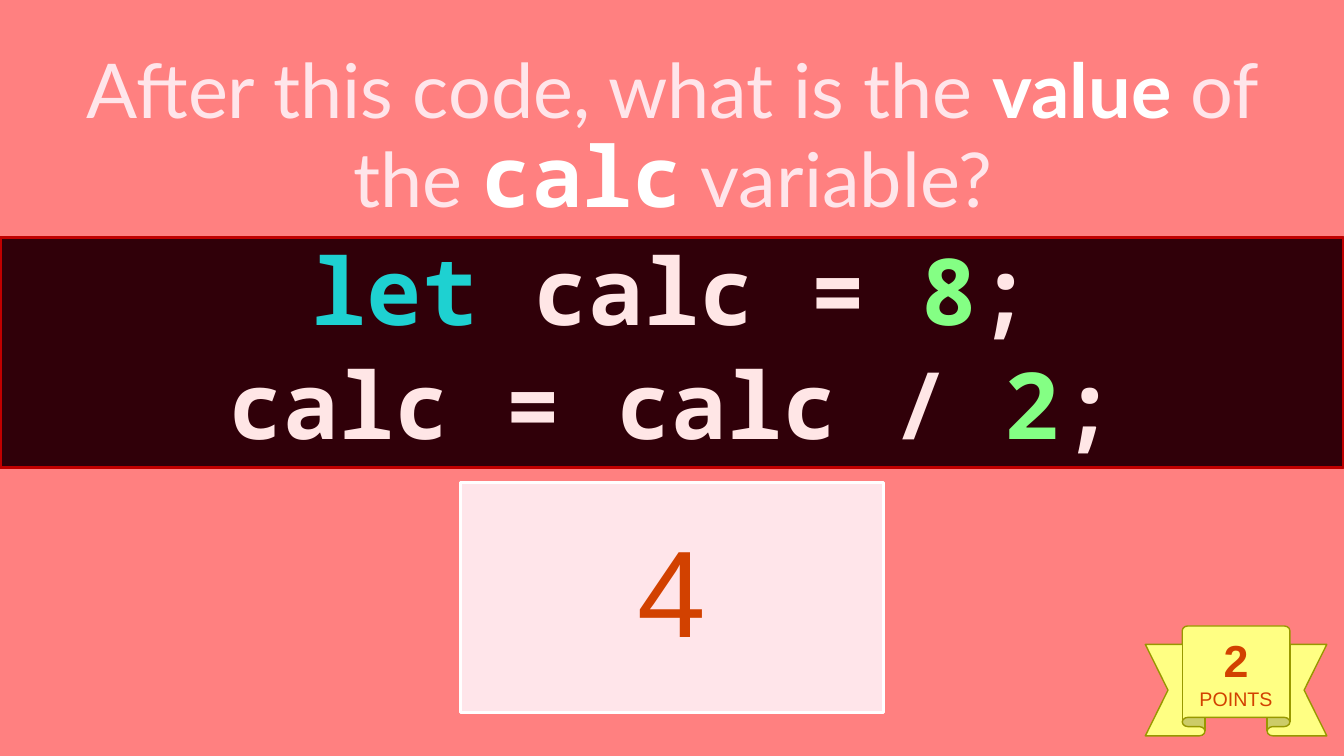
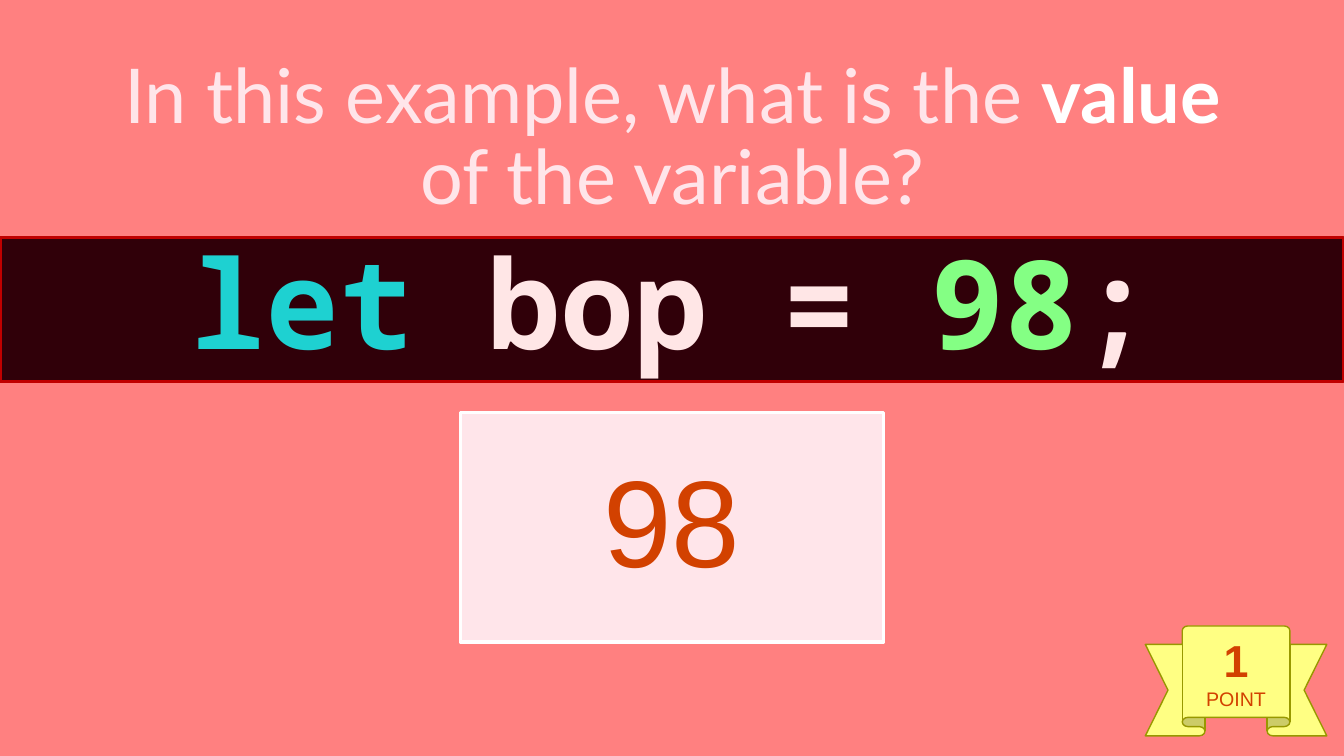
import pptx
import pptx.dml.color
import pptx.enum.shapes
import pptx.enum.text
import pptx.util

Inches = pptx.util.Inches
SHAPES = pptx.enum.shapes.MSO_SHAPE
COLORS = {
    "page": "FF8080", "pale": "FFE5EA", "white": "FFFFFF",
    "band": "300009", "band_line": "C00000",
    "keyword": "1ED1D1", "code": "FFE6E6", "number": "84FF84",
    "ribbon": "FFFF83", "ribbon_line": "989800", "answer": "D24100",
}
WIDTH, HEIGHT = 13.33, 7.5
TITLE_BOX = (0.74, 0.43, 11.86, 1.91)
RIBBON_BOX = (11.36, 6.21, 1.8, 1.09)
BAND_TOP = 2.36
ANSWER_SIZE = (4.2, 2.28)
BODY = {"line_spacing": 0.9, "space_before": pptx.util.Pt(10)}
STYLES = {
    "question": ("Lato", "pale", 54, False),
    "strong": ("Lato", "white", 54, True),
    "name": ("Noto Sans Mono", "white", 60, True),
    "keyword": ("Noto Sans Mono", "keyword", None, True),
    "code": ("Noto Sans Mono", "code", None, True),
    "number": ("Noto Sans Mono", "number", None, True),
    "answer": ("Arial", "answer", 88, False),
    "points": ("Arial", "answer", 32, True),
    "unit": ("Arial", "answer", 14, False),
}
QUESTIONS = [
    {
        "title": [("After this code, what is the ", "question"), ("value", "strong"),
                  (" of the ", "question"), ("calc", "name"), (" variable?", "question")],
        "code": [
            [("let ", "keyword"), ("calc = ", "code"), ("8", "number"), (";", "code")],
            [("calc = calc / ", "code"), ("2", "number"), (";", "code")],
        ],
        "code_size": 66, "band_height": 2.28, "gap": 0.15,
        "answer": "4", "points": ("2", "POINTS"),
    },
    {
        "title": [("In this example, what is the ", "question"), ("value", "strong"),
                  (" of the variable?", "question")],
        "code": [[("let ", "keyword"), ("bop = ", "code"), ("98", "number"), (";", "code")]],
        "code_size": 88, "band_height": 1.43, "gap": 0.3,
        "answer": "98", "points": ("1", "POINT"),
    },
]


def rgb(name):
    return pptx.dml.color.RGBColor.from_string(COLORS[name])


def set_attrs(obj, values):
    for key, value in values.items():
        setattr(obj, key, value)


def write(sp, lines, para, size=None):
    tf = sp.text_frame
    set_attrs(tf, {
        "word_wrap": True,
        "auto_size": pptx.enum.text.MSO_AUTO_SIZE.NONE,
        "vertical_anchor": pptx.enum.text.MSO_ANCHOR.MIDDLE,
    })
    for i, line in enumerate(lines):
        p = tf.add_paragraph() if i else tf.paragraphs[0]
        set_attrs(p, {"alignment": pptx.enum.text.PP_ALIGN.CENTER, **para})
        for text, style in line:
            font, color, points, bold = STYLES[style]
            r = p.add_run()
            r.text = text
            set_attrs(r.font, {"name": font, "size": pptx.util.Pt(points or size), "bold": bold})
            r.font.color.rgb = rgb(color)


def add_panel(s, kind, box, fill, line, weight):
    sp = s.shapes.add_shape(kind, *map(Inches, box))
    sp.shadow.inherit = False
    sp.fill.solid()
    sp.fill.fore_color.rgb = rgb(fill)
    sp.line.color.rgb = rgb(line)
    sp.line.width = pptx.util.Pt(weight)
    return sp


def add_title(s, box, runs):
    sp = s.shapes.title
    set_attrs(sp, dict(zip(("left", "top", "width", "height"), map(Inches, box))))
    write(sp, [runs], {"line_spacing": 0.9})


def add_code_band(s, box, lines, size):
    sp = add_panel(s, SHAPES.RECTANGLE, box, "band", "band_line", 2.25)
    write(sp, lines, BODY, size)


def add_ribbon(s, box, points, unit):
    sp = add_panel(s, SHAPES.UP_RIBBON, box, "ribbon", "ribbon_line", 1)
    sp.adjustments[0], sp.adjustments[1] = 0.168, 0.593
    write(sp, [[(points, "points")], [(unit, "unit")]], {})


def add_answer(s, box, text):
    sp = add_panel(s, SHAPES.RECTANGLE, box, "pale", "white", 2.25)
    write(sp, [[(text, "answer")]], BODY)


def add_question(prs, q):
    s = prs.slides.add_slide(prs.slide_layouts.get_by_name("Title Only"))
    add_title(s, TITLE_BOX, q["title"])
    add_code_band(s, (0, BAND_TOP, WIDTH, q["band_height"]), q["code"], q["code_size"])
    add_ribbon(s, RIBBON_BOX, *q["points"])
    left = (WIDTH - ANSWER_SIZE[0]) / 2
    top = BAND_TOP + q["band_height"] + q["gap"]
    add_answer(s, (left, top, *ANSWER_SIZE), q["answer"])


def main():
    prs = pptx.Presentation()
    set_attrs(prs, {"slide_width": Inches(WIDTH), "slide_height": Inches(HEIGHT)})
    fill = prs.slide_master.background.fill
    fill.solid()
    fill.fore_color.rgb = rgb("page")
    for q in QUESTIONS:
        add_question(prs, q)
    prs.save("out.pptx")


if __name__ == "__main__":
    main()
